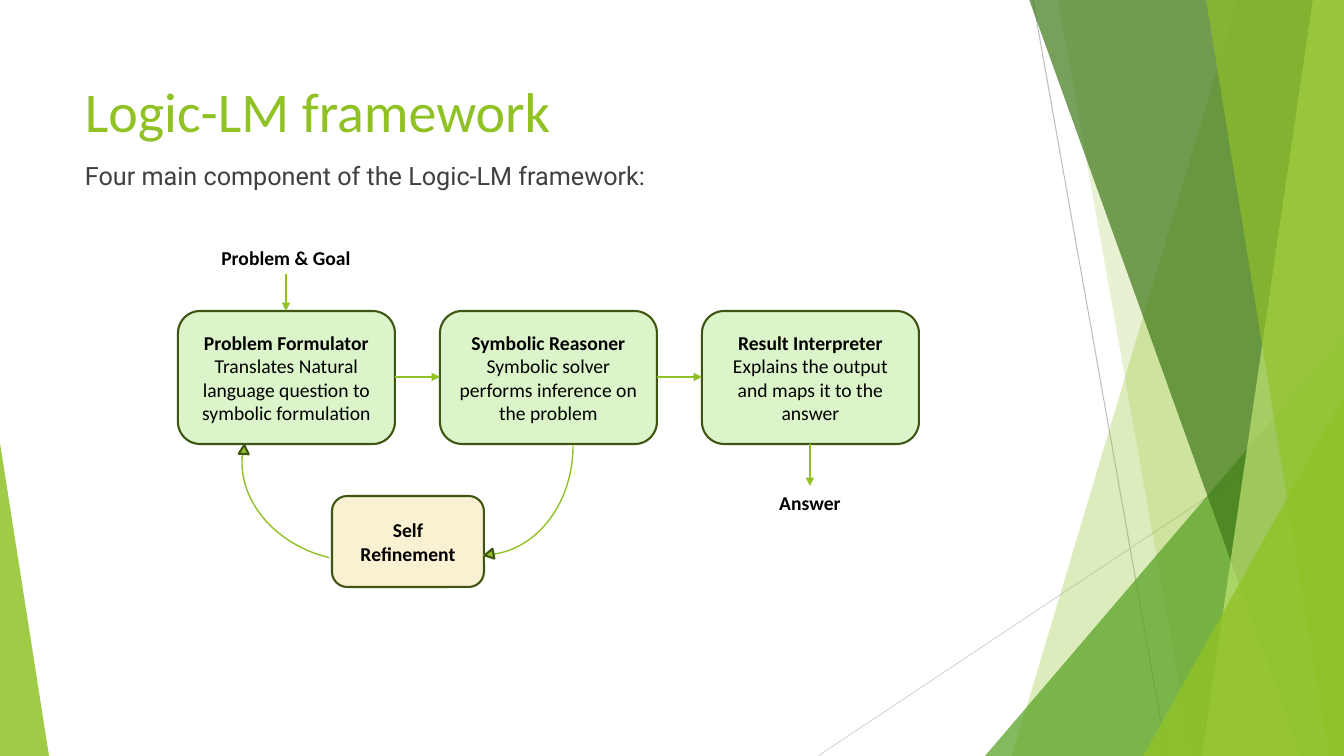
from lxml.etree import SubElement
from pptx import Presentation
from pptx.dml.color import RGBColor
from pptx.enum.shapes import MSO_CONNECTOR, MSO_SHAPE as Preset
from pptx.enum.text import MSO_ANCHOR as Anchor, PP_ALIGN as Align
from pptx.oxml.ns import qn
from pptx.util import Pt

EMU_PER_PX = 12192000 / 1344
WIDTH, HEIGHT = 1344, 756
LIME, OLIVE, MINT, CREAM = "90C226", "3F5511", "DBF4CA", "FAF1D2"

STAGES = [
    ("Problem Formulator", "Translates Natural language question to symbolic formulation"),
    ("Symbolic Reasoner", "Symbolic solver performs inference on the problem"),
    ("Result Interpreter", "Explains the output and maps it to the answer"),
]
STAGE_LEFT, STAGE_TOP, STAGE_STEP = 178, 311, 262
STAGE_WIDTH, STAGE_HEIGHT = 217, 133
LABEL_WIDTH, LABEL_HEIGHT = 152, 34


def px(*lengths):
    return [round(length * EMU_PER_PX) for length in lengths]


def color(value):
    return RGBColor.from_string(value)


def paint(shape, fill=None, opacity=100, line=None, width=1.5):
    shape.shadow.inherit = False
    if fill:
        shape.fill.solid()
        shape.fill.fore_color.rgb = color(fill)
        if opacity < 100:
            tint = shape.fill._xPr.find(qn("a:solidFill"))[0]
            SubElement(tint, qn("a:alpha"), val=str(opacity * 1000))
    else:
        shape.fill.background()
    if line:
        shape.line.color.rgb = color(line)
        shape.line.width = Pt(width)
    else:
        shape.line.fill.background()


def add_preset(page, preset, frame, rotation=0, adjust=None, **style):
    shape = page.shapes.add_shape(preset, *px(*frame))
    shape.rotation = rotation
    if adjust is not None:
        shape.adjustments[0] = adjust
    paint(shape, **style)
    return shape


def add_band(page, top_left, bottom_left, fill, opacity):
    """Facet from the left edge given to the right side of the slide."""
    builder = page.shapes.build_freeform(top_left, -1, scale=EMU_PER_PX)
    builder.add_line_segments([(WIDTH, -1), (WIDTH, HEIGHT), (bottom_left, HEIGHT)])
    paint(builder.convert_to_shape(), fill, opacity)


def add_line(page, start, end, line=LIME, width=1, arrow=True):
    connector = page.shapes.add_connector(MSO_CONNECTOR.STRAIGHT, *px(*start, *end))
    connector.line.color.rgb = color(line)
    connector.line.width = Pt(width)
    if arrow:
        SubElement(connector.line._get_or_add_ln(), qn("a:tailEnd"), type="triangle")
    SubElement(connector._element.spPr, qn("a:effectLst"))


def write(shape, lines, size=14, font="Calibri", ink="000000", bold=True,
          align=Align.CENTER, anchor=Anchor.MIDDLE, before=0):
    """Write one paragraph per line; only the first can be bold."""
    frame = shape.text_frame
    frame.word_wrap = True
    frame.vertical_anchor = anchor
    for index, line in enumerate(lines):
        para = frame.add_paragraph() if index else frame.paragraphs[0]
        para.text = line
        para.alignment = align
        para.space_before = Pt(before)
        para.font.name = font
        para.font.size = Pt(size)
        para.font.bold = bold and index == 0
        para.font.color.rgb = color(ink)


def add_text(page, frame, text, **style):
    write(page.shapes.add_textbox(*px(*frame)), [text], anchor=Anchor.TOP, **style)


def add_label(page, center, top, text):
    add_text(page, (center - LABEL_WIDTH // 2, top, LABEL_WIDTH, LABEL_HEIGHT), text)


def add_backdrop(page):
    add_line(page, (1033, 0), (1167, HEIGHT), "BFBFBF", 0.75, arrow=False)
    add_line(page, (WIDTH, 406), (818, HEIGHT), "D9D9D9", 0.75, arrow=False)
    add_band(page, 1238, 1012, LIME, 30)
    add_band(page, 1058, 1192, LIME, 20)
    add_preset(page, Preset.ISOSCELES_TRIANGLE, (985, 336, 359, 420),
               adjust=1, fill="54A021", opacity=72)
    add_band(page, 1029, 1301, "3F7819", 70)
    add_band(page, 1313, 1202, "C0E474", 70)
    add_band(page, 1206, 1329, LIME, 65)
    add_preset(page, Preset.ISOSCELES_TRIANGLE, (1143, 396, 201, 360),
               adjust=1, fill=LIME, opacity=80)
    add_preset(page, Preset.ISOSCELES_TRIANGLE, (0, 443, 49, 313),
               adjust=0, fill=LIME, opacity=85)


def add_pipeline(page):
    lefts = [STAGE_LEFT + STAGE_STEP * index for index in range(len(STAGES))]
    bottom = STAGE_TOP + STAGE_HEIGHT
    middle = STAGE_TOP + STAGE_HEIGHT // 2
    for left, stage in zip(lefts, STAGES):
        box = add_preset(page, Preset.ROUNDED_RECTANGLE,
                         (left, STAGE_TOP, STAGE_WIDTH, STAGE_HEIGHT), fill=MINT, line=OLIVE)
        write(box, stage)
    for left, following in zip(lefts, lefts[1:]):
        add_line(page, (left + STAGE_WIDTH, middle), (following, middle))

    # Input and output
    first, last = (left + STAGE_WIDTH // 2 for left in (lefts[0], lefts[-1]))
    add_label(page, first, 241, "Problem & Goal")
    add_line(page, (first, 274), (first, STAGE_TOP))
    add_label(page, last, 486, "Answer")
    add_line(page, (last, bottom), (last, 486))


def add_refinement_loop(page):
    box = add_preset(page, Preset.ROUNDED_RECTANGLE, (332, 496, 152, 91),
                     fill=CREAM, line=OLIVE)
    write(box, ["Self Refinement"])
    for left, top, rotation in [(374, 356, 90), (241, 380, 193.4)]:
        add_preset(page, Preset.ARC, (left, top, 218, 180), rotation, line=LIME, width=1)
    for left, top, rotation in [(484, 550, 259.2), (239, 445, 3.4)]:
        add_preset(page, Preset.ISOSCELES_TRIANGLE, (left, top, 10, 9), rotation,
                   fill=LIME, line=OLIVE)


def main():
    deck = Presentation()
    deck.slide_width, deck.slide_height = px(WIDTH, HEIGHT)
    page = deck.slides.add_slide(deck.slide_layouts[6])

    add_backdrop(page)

    # Heading
    add_text(page, (75, 72, 948, 145), "Logic-LM framework",
             size=40, ink=LIME, bold=False, align=Align.LEFT)
    add_text(page, (75, 155, 948, 53), "Four main component of the Logic-LM framework:",
             size=18, font="Roboto", ink="404040", bold=False, align=Align.LEFT, before=10)

    # Diagram
    add_pipeline(page)
    add_refinement_loop(page)

    deck.save("out.pptx")


if __name__ == "__main__":
    main()
